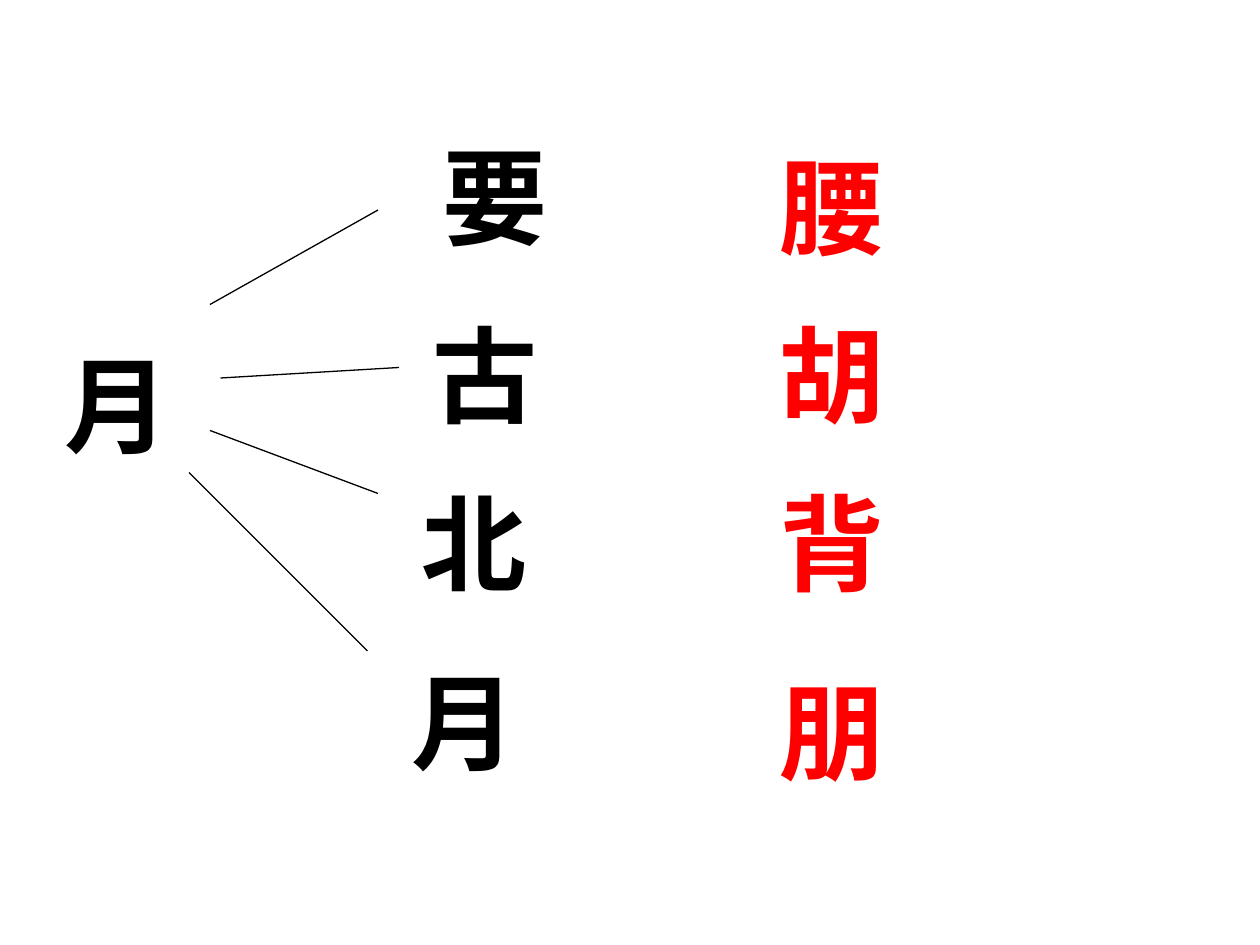
from dataclasses import dataclass
from typing import NamedTuple

from lxml.etree import SubElement
from pptx import Presentation
from pptx.dml.color import RGBColor
from pptx.enum.shapes import MSO_CONNECTOR as Connector
from pptx.enum.text import MSO_AUTO_SIZE as AutoSize
from pptx.oxml.ns import qn
from pptx.slide import Slide
from pptx.util import Emu, Pt

PX = 7620


def px(length: int) -> Emu:
    return Emu(length * PX)


@dataclass(frozen=True)
class Theme:
    component: RGBColor = RGBColor(0, 0, 0)
    compound: RGBColor = RGBColor(255, 0, 0)
    branch: RGBColor = RGBColor(0, 0, 0)
    font: str = "Times New Roman"
    character_size: Pt = Pt(60)
    branch_width: Pt = Pt(0.75)


class Branch(NamedTuple):
    x1: int
    y1: int
    x2: int
    y2: int


class Character(NamedTuple):
    glyph: str
    left: int
    top: int
    color: RGBColor


THEME = Theme()
CELL_WIDTH, CELL_HEIGHT = 124, 132
COMPONENT_LEFT, COMPONENT_STEP = 410, -10
COMPOUND_LEFT = 731

RADICAL = Character("月", 50, 318, THEME.component)
COMPONENTS = [
    Character(glyph, COMPONENT_LEFT + row * COMPONENT_STEP, top, THEME.component)
    for row, (glyph, top) in enumerate(zip("要古北月", (120, 290, 450, 620)))
]
COMPOUNDS = [
    Character(glyph, COMPOUND_LEFT, top, THEME.compound)
    for glyph, top in zip("腰胡背朋", (130, 290, 450, 630))
]
BRANCHES = [
    Branch(200, 290, 360, 200),
    Branch(210, 360, 380, 350),
    Branch(200, 410, 360, 470),
    Branch(180, 450, 350, 620),
]


def draw_branch(slide: Slide, branch: Branch) -> None:
    stroke = slide.shapes.add_connector(Connector.STRAIGHT, *map(px, branch))
    stroke.line.color.rgb = THEME.branch
    stroke.line.width = THEME.branch_width
    SubElement(stroke._element.spPr, qn("a:effectLst"))


def draw_character(slide: Slide, character: Character) -> None:
    cell = slide.shapes.add_textbox(
        px(character.left), px(character.top), px(CELL_WIDTH), px(CELL_HEIGHT)
    )
    frame = cell.text_frame
    frame.word_wrap = False
    frame.auto_size = AutoSize.SHAPE_TO_FIT_TEXT
    run = frame.paragraphs[0].add_run()
    run.text = character.glyph
    run.font.name = THEME.font
    run.font.size = THEME.character_size
    run.font.bold = True
    run.font.color.rgb = character.color


def main() -> None:
    deck = Presentation()
    deck.slide_width, deck.slide_height = px(1200), px(900)
    slide = deck.slides.add_slide(deck.slide_layouts[6])
    for branch in BRANCHES:
        draw_branch(slide, branch)
    for character in [*COMPONENTS, RADICAL, *COMPOUNDS]:
        draw_character(slide, character)
    deck.save("out.pptx")


if __name__ == "__main__":
    main()
